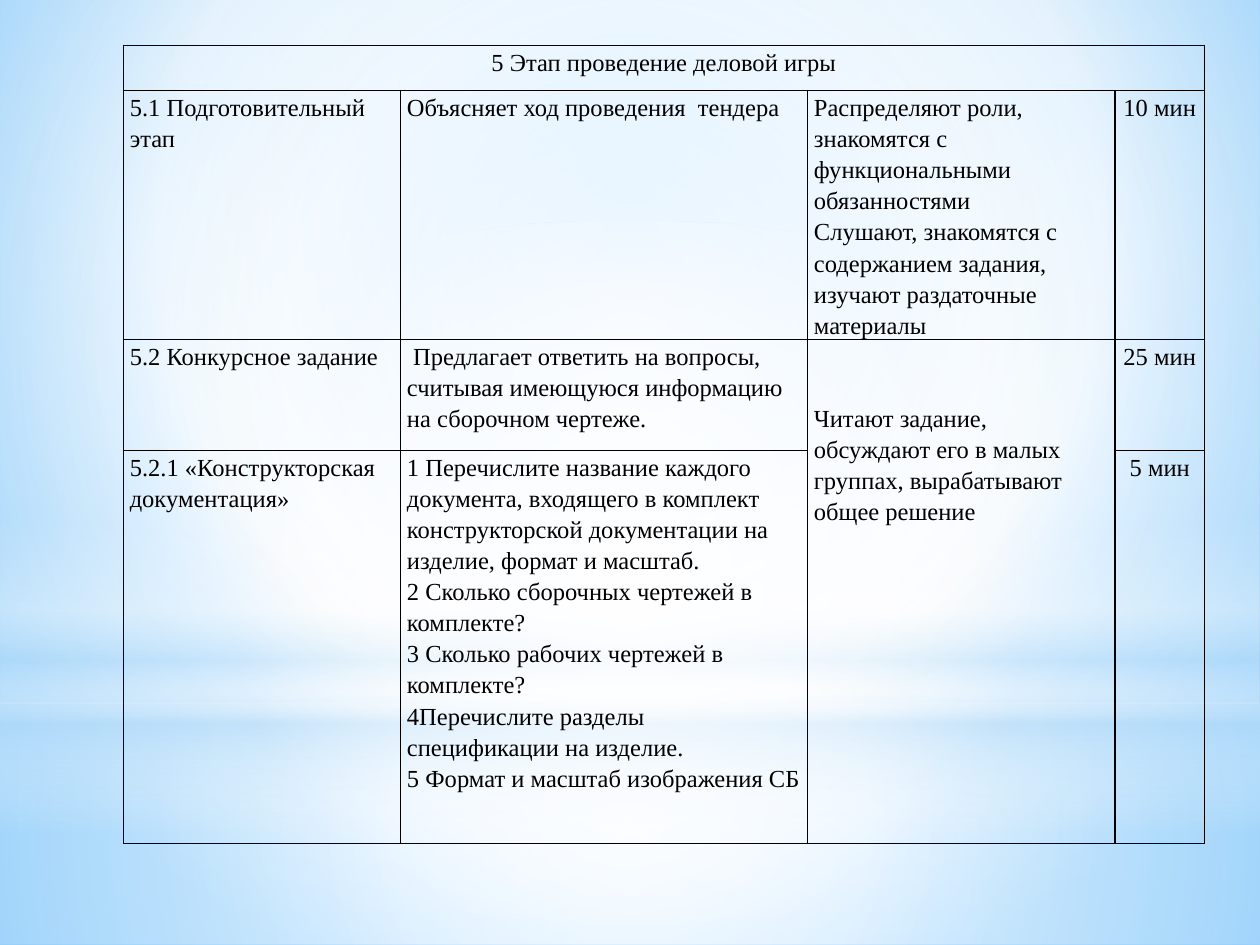
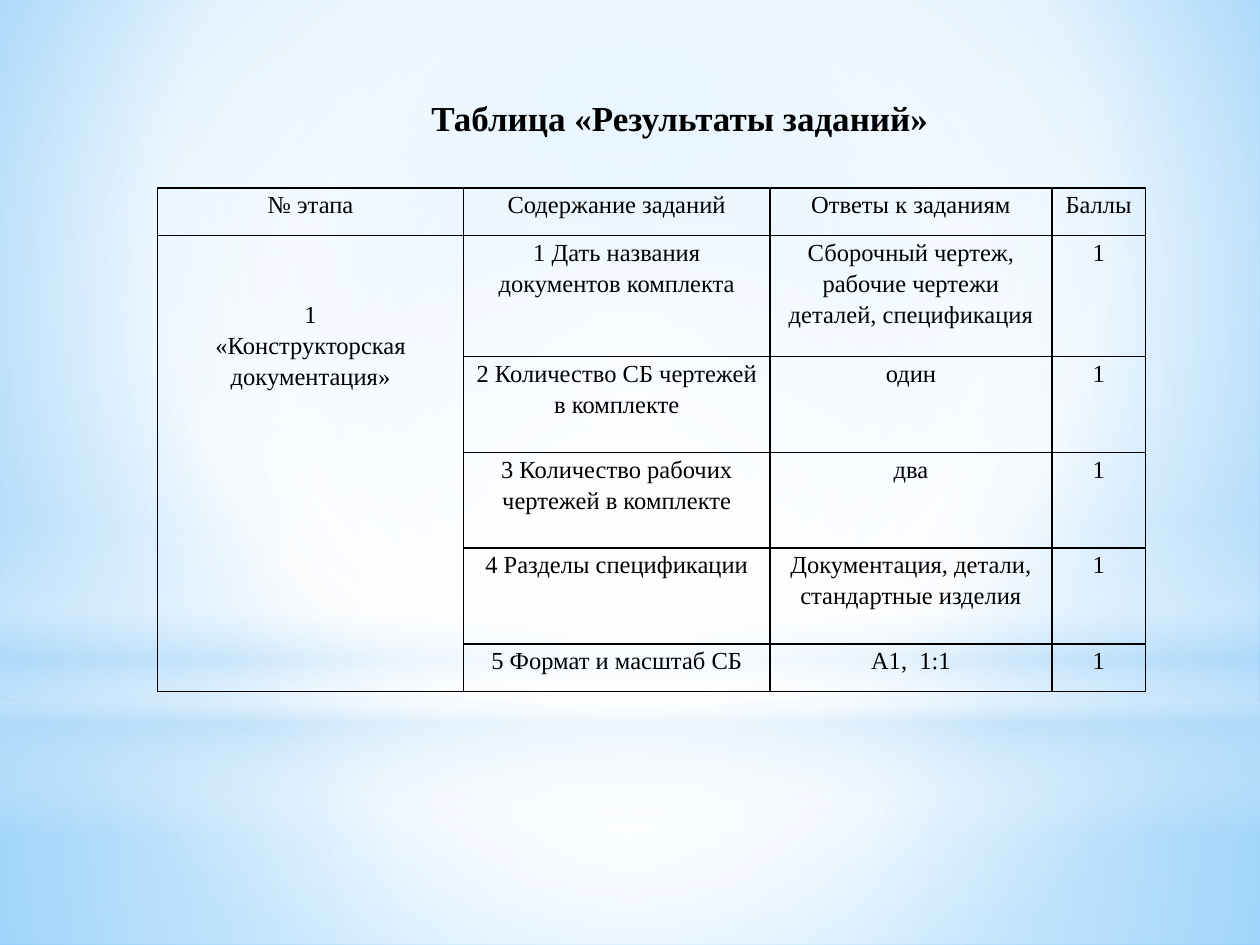
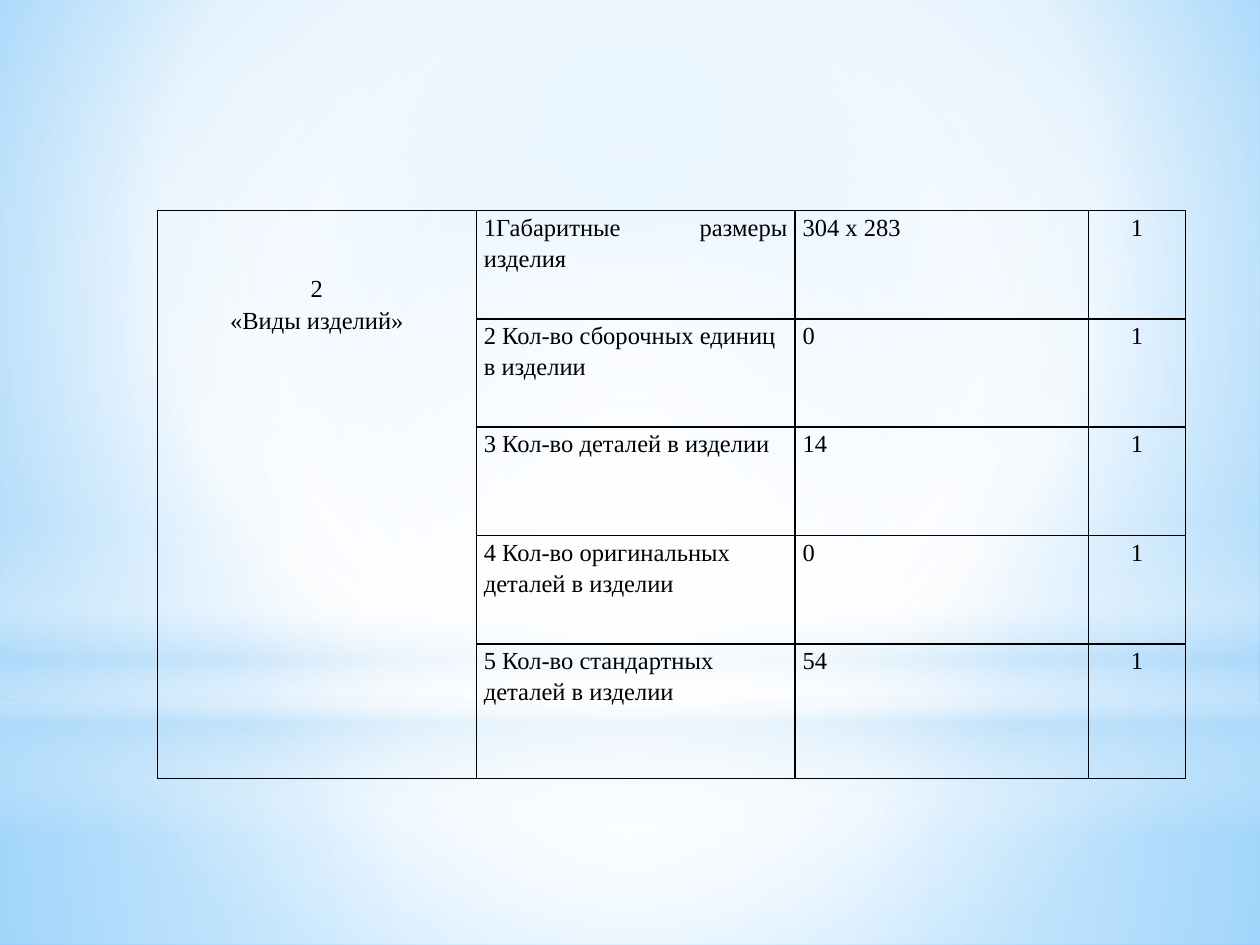
import pptx
import pptx.dml.color
import pptx.enum.shapes
import pptx.enum.text
import pptx.oxml
import pptx.oxml.ns
import pptx.util

Inches = pptx.util.Inches
Pt = pptx.util.Pt
ALIGN = pptx.enum.text.PP_ALIGN
SHAPE = pptx.enum.shapes.MSO_SHAPE

COLORS = {
    "ink": "000000",
    "white": "FFFFFF",
    "haze": "B4DCFA",
    "sky": "9ED5FF",
    "deep_sky": "5BB9FF",
}
FONT = "Times New Roman"
TITLE_ONLY, BLANK = 5, 6
CENTER_FOCUS = (50, 50, 50, 50)
LOWERED_TEXT = 0.49

STAGES = [
    ["5 Этап проведение деловой игры", "", "", ""],
    ["5.1 Подготовительный этап", "Объясняет ход проведения  тендера",
     "Распределяют роли, знакомятся с функциональными обязанностями\n"
     "Слушают, знакомятся с содержанием задания, изучают раздаточные материалы",
     "10 мин"],
    ["5.2 Конкурсное задание",
     " Предлагает ответить на вопросы, считывая имеющуюся информацию на сборочном чертеже.",
     "Читают задание, обсуждают его в малых группах, вырабатывают общее решение",
     "25 мин"],
    ["5.2.1 «Конструкторская документация»",
     "1 Перечислите название каждого документа, входящего в комплект "
     "конструкторской документации на изделие, формат и масштаб.\n"
     "2 Сколько сборочных чертежей в комплекте?\n"
     "3 Сколько рабочих чертежей в комплекте?\n"
     "4Перечислите разделы спецификации на изделие.\n"
     "5 Формат и масштаб изображения СБ",
     "", "5 мин"],
]
DOCUMENT_RESULTS = [
    ["№ этапа", "Содержание заданий", "Ответы к заданиям", "Баллы"],
    ["1\n«Конструкторская документация»", "1 Дать названия документов комплекта",
     "Сборочный чертеж, рабочие чертежи деталей, спецификация", "1"],
    ["", "2 Количество СБ чертежей в комплекте", "один", "1"],
    ["", "3 Количество рабочих чертежей в комплекте", "два", "1"],
    ["", "4 Разделы спецификации", "Документация, детали, стандартные изделия", "1"],
    ["", "5 Формат и масштаб СБ", "А1,  1:1", "1"],
]
PRODUCT_RESULTS = [
    ["2\n«Виды изделий»", "1Габаритные размеры изделия", "304 х 283", "1"],
    ["", "2 Кол-во сборочных единиц в изделии", "0", "1"],
    ["", "3 Кол-во деталей в изделии", "14", "1"],
    ["", "4 Кол-во оригинальных деталей в изделии", "0", "1"],
    ["", "5 Кол-во стандартных деталей в изделии", "54", "1"],
]


def set_gradient(solid_fill, stops, focus=None):
    """Replace a solid fill by a radial gradient, or a vertical one without a focus."""
    stop_xml = "".join(
        f'<a:gs pos="{pos * 1000}"><a:srgbClr val="{COLORS[color]}">'
        f'<a:alpha val="{opacity * 1000}"/></a:srgbClr></a:gs>'
        for pos, color, opacity in stops)
    if focus:
        sides = " ".join(f'{side}="{share * 1000}"' for side, share in zip("ltrb", focus))
        direction = f'<a:path path="circle"><a:fillToRect {sides}/></a:path>'
    else:
        direction = '<a:lin ang="5400000" scaled="0"/>'
    gradient = pptx.oxml.parse_xml(
        f'<a:gradFill {pptx.oxml.ns.nsdecls("a")} rotWithShape="1">'
        f'<a:gsLst>{stop_xml}</a:gsLst>{direction}</a:gradFill>')
    solid_fill.getparent().replace(solid_fill, gradient)


def style_master(master, slide):
    """Give the master its sky background and glowing bands."""
    master.background.fill.solid()
    set_gradient(master.element.xpath("p:cSld/p:bg//a:solidFill")[0],
                 [(0, "sky", 100), (60, "white", 100), (100, "deep_sky", 100)],
                 (20, 10, 20, 60))
    glows = [
        (SHAPE.RECTANGLE, 5.58, 1.92, CENTER_FOCUS,
         [(0, "white", 91), (37, "white", 76), (100, "haze", 79)]),
        (SHAPE.RECTANGLE, 0, 5.58, CENTER_FOCUS,
         [(0, "white", 89), (48, "white", 62), (100, "haze", 79)]),
        (SHAPE.RECTANGLE, 4.12, 2.5, None,
         [(0, "white", 0), (29, "white", 30), (45, "haze", 40),
          (55, "white", 26), (65, "haze", 60), (100, "white", 0)]),
        (SHAPE.OVAL, 1.75, 5.58, CENTER_FOCUS, [(0, "white", 100), (56, "white", 0)]),
    ]
    for order, (kind, top, height, focus, stops) in enumerate(glows):
        glow = slide.shapes.add_shape(kind, 0, Inches(top), Inches(10), Inches(height))
        glow.shadow.inherit = False
        glow.line.fill.background()
        glow.fill.solid()
        set_gradient(glow.element.xpath("p:spPr/a:solidFill")[0], stops, focus)
        glow.element.xpath(".//p:cNvPr")[0].set("id", str(100 + order))
        master.shapes.element.insert(2 + order, glow.element)


def set_font(paragraph, size, bold=False):
    """Apply the shared typeface and ink to a paragraph."""
    paragraph.font.name = FONT
    paragraph.font.size = Pt(size)
    paragraph.font.bold = bold
    paragraph.font.color.rgb = pptx.dml.color.RGBColor.from_string(COLORS["ink"])


def add_borders(cell):
    """Draw thin lines on the four sides of a cell."""
    properties = cell._tc.get_or_add_tcPr()
    for order, side in enumerate("LRTB"):
        properties.insert(order, pptx.oxml.parse_xml(
            f'<a:ln{side} {pptx.oxml.ns.nsdecls("a")} w="12700"><a:solidFill>'
            f'<a:srgbClr val="{COLORS["ink"]}"/></a:solidFill></a:ln{side}>'))


def format_cell(cell, text, alignment, inset):
    """Fill in one transparent, bordered cell."""
    cell.text_frame.text = text
    cell.margin_left = cell.margin_right = Inches(inset)
    cell.margin_top = cell.margin_bottom = 0
    cell.fill.background()
    add_borders(cell)
    for paragraph in cell.text_frame.paragraphs:
        paragraph.alignment = alignment
        paragraph.line_spacing = 1.15
        set_font(paragraph, 14)


def add_grid(slide, left, top, widths, heights, rows, alignments, inset=0.06):
    """Add a table and return it."""
    grid = slide.shapes.add_table(
        len(rows), len(widths), Inches(left), Inches(top),
        Inches(sum(widths)), Inches(sum(heights))).table
    grid.first_row = grid.horz_banding = False
    for column, width in zip(grid.columns, widths):
        column.width = Inches(width)
    for row, height, texts in zip(grid.rows, heights, rows):
        row.height = Inches(height)
        for cell, text, alignment in zip(row.cells, texts, alignments):
            format_cell(cell, text, alignment, inset)
    return grid


def merge_down(grid, first_row, column):
    """Join a column from a row to the table's end and lower its text."""
    stage = grid.cell(first_row, column)
    stage.merge(grid.cell(len(grid.rows) - 1, column))
    stage.margin_top = Inches(LOWERED_TEXT)


def set_title(slide, text, left, top, width, height):
    """Place and format the slide title."""
    title = slide.shapes.title
    title.left, title.top = Inches(left), Inches(top)
    title.width, title.height = Inches(width), Inches(height)
    frame = title.text_frame
    frame.text = text
    frame.word_wrap = True
    frame.auto_size = pptx.enum.text.MSO_AUTO_SIZE.SHAPE_TO_FIT_TEXT
    frame.vertical_anchor = pptx.enum.text.MSO_ANCHOR.MIDDLE
    frame.paragraphs[0].alignment = ALIGN.CENTER
    set_font(frame.paragraphs[0], 20, bold=True)


def main():
    """Build the three slides of the game plan and its results."""
    deck = pptx.Presentation()
    deck.slide_width, deck.slide_height = Inches(10), Inches(7.5)
    plan, documents, products = (
        deck.slides.add_slide(deck.slide_layouts[layout])
        for layout in (BLANK, TITLE_ONLY, BLANK))
    style_master(deck.slide_master, plan)
    left_with_centered_end = [ALIGN.LEFT] * 3 + [ALIGN.CENTER]

    stages = add_grid(plan, 0.98, 0.36, [2.2, 3.23, 2.44, 0.71],
                      [0.36, 1.97, 0.88, 3.12], STAGES, left_with_centered_end, 0.05)
    stages.cell(0, 0).merge(stages.cell(0, 3))
    stages.cell(0, 0).text_frame.paragraphs[0].alignment = ALIGN.CENTER
    merge_down(stages, 2, 2)

    set_title(documents, "Таблица «Результаты заданий»", 2.64, 0.71, 5.51, 0.44)
    document_results = add_grid(
        documents, 1.25, 1.49, [2.43, 2.43, 2.24, 0.74],
        [0.38, 0.96] + [0.76] * 3 + [0.38], DOCUMENT_RESULTS, [ALIGN.CENTER] * 4)
    merge_down(document_results, 1, 0)

    product_results = add_grid(
        products, 1.25, 1.67, [2.53, 2.53, 2.33, 0.77], [0.86] * 4 + [1.07],
        PRODUCT_RESULTS, [ALIGN.CENTER] + left_with_centered_end[1:])
    product_results.cell(0, 1).text_frame.paragraphs[0].alignment = ALIGN.JUSTIFY
    merge_down(product_results, 0, 0)

    deck.save("out.pptx")


if __name__ == "__main__":
    main()
